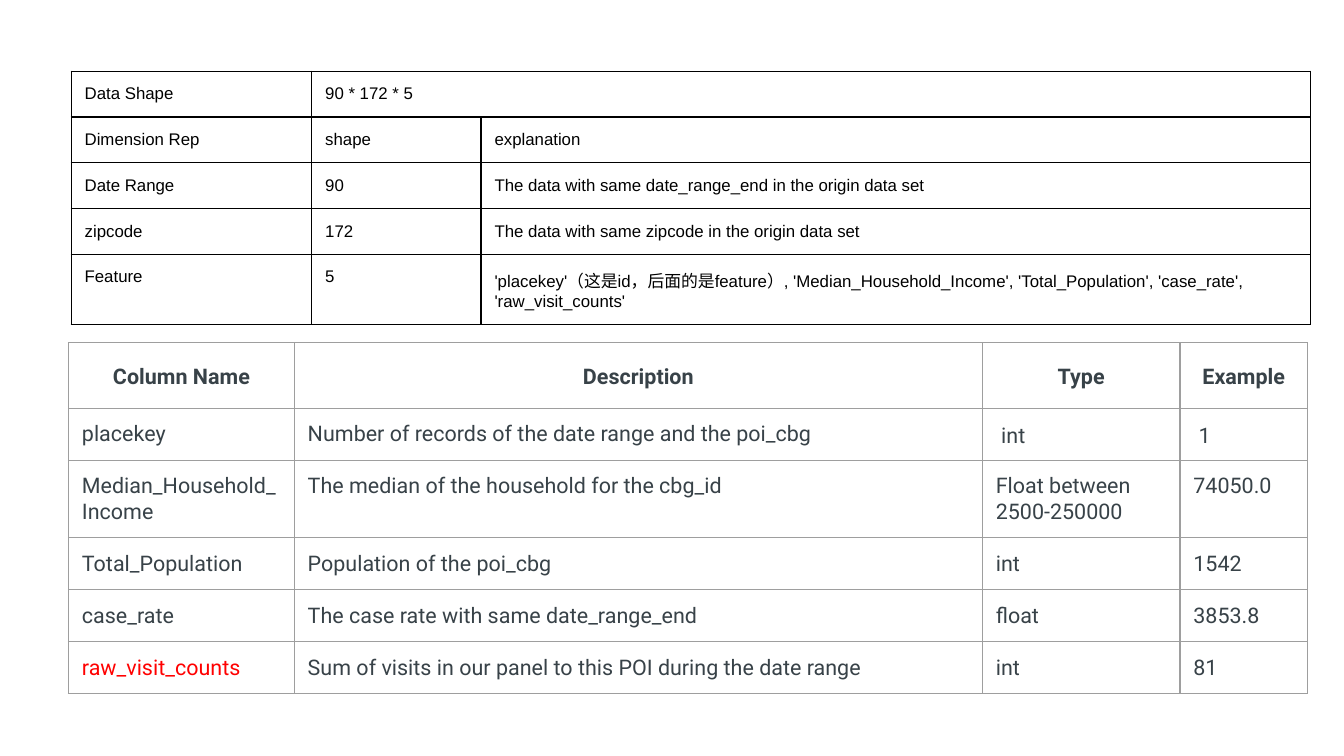
from lxml.etree import SubElement
from pptx import Presentation
from pptx.dml.color import RGBColor
from pptx.enum.text import MSO_ANCHOR, PP_ALIGN
from pptx.oxml.ns import qn
from pptx.util import Inches, Pt

COLORS = {"black": "000000", "slate": "384248", "red": "FF0000", "gray": "9E9E9E"}
SLIDE_WIDTH = 10
SLIDE_SIZE = (SLIDE_WIDTH, SLIDE_WIDTH * 9 / 16)

SHAPE_TABLE = {
    "position": (0.53, 0.53),
    "columns": (1.79, 1.26, 6.17),
    "rows": (0.34, 0.34, 0.34, 0.34, 0.52),
    "border": "black",
    "cells": [
        ("Data Shape", "90 * 172 * 5", ""),
        ("Dimension Rep", "shape", "explanation"),
        ("Date Range", "90", "The data with same date_range_end in the origin data set"),
        ("zipcode", "172", "The data with same zipcode in the origin data set"),
        ("Feature", "5", "'placekey'（这是id，后面的是feature）, 'Median_Household_Income', "
                         "'Total_Population', 'case_rate', 'raw_visit_counts'"),
    ],
}
COLUMN_TABLE = {
    "position": (0.51, 2.55),
    "columns": (1.68, 5.12, 1.47, 0.95),
    "rows": (0.49, 0.38, 0.57, 0.38, 0.38, 0.38),
    "border": "gray",
    "cells": [
        ("Column Name", "Description", "Type", "Example"),
        ("placekey", "Number of records of the date range and the poi_cbg", "int", "1"),
        ("Median_Household_Income", "The median of the household for the cbg_id",
         "Float between 2500-250000", "74050.0"),
        ("Total_Population", "Population of the poi_cbg", "int", "1542"),
        ("case_rate", "The case rate with same date_range_end", "float", "3853.8"),
        ("raw_visit_counts", "Sum of visits in our panel to this POI during the date range",
         "int", "81"),
    ],
}


def write_text(cell, text, font="Arial", size=9, color="black", bold=False,
               align=PP_ALIGN.LEFT, middle=False):
    horizontal, vertical = (0.14, 0.06) if middle else (0.1, 0.1)
    cell.margin_left = cell.margin_right = Inches(horizontal)
    cell.margin_top = cell.margin_bottom = Inches(vertical)
    cell.vertical_anchor = MSO_ANCHOR.MIDDLE if middle else MSO_ANCHOR.TOP
    paragraph = cell.text_frame.paragraphs[0]
    paragraph.alignment = align
    if middle:
        paragraph.line_spacing = 1.15
    run = paragraph.add_run()
    run.text = text
    run.font.name = font
    run.font.size = Pt(size)
    run.font.bold = bold
    run.font.color.rgb = RGBColor.from_string(COLORS[color])


def draw_borders(cell, color):
    properties = cell._tc.get_or_add_tcPr()
    for side in ("a:lnL", "a:lnR", "a:lnT", "a:lnB"):
        line = SubElement(properties, qn(side), w=str(Pt(0.75)))
        fill = SubElement(line, qn("a:solidFill"))
        SubElement(fill, qn("a:srgbClr"), val=COLORS[color])
    cell.fill.background()


def add_grid(slide, content):
    columns, rows = content["columns"], content["rows"]
    left, top, width, height = map(Inches, (*content["position"], sum(columns), sum(rows)))
    table = slide.shapes.add_table(len(rows), len(columns), left, top, width, height).table
    table.first_row = table.horz_banding = False
    for column, share in zip(table.columns, columns):
        column.width = Inches(share)
    for row, share in zip(table.rows, rows):
        row.height = Inches(share)
    for cell in table.iter_cells():
        draw_borders(cell, content["border"])
    return table


def column_format(row, column):
    header = row == 0
    return {
        "font": "Roboto",
        "size": 11.5,
        "color": "red" if (row, column) == (5, 0) else "slate",
        "bold": header,
        "align": PP_ALIGN.CENTER if header else PP_ALIGN.LEFT,
        "middle": header or (row == 1 and column >= 2),
    }


def fill_grid(table, content, cell_format):
    for row, texts in enumerate(content["cells"]):
        for column, text in enumerate(texts):
            if text:
                write_text(table.cell(row, column), text, **cell_format(row, column))


def main():
    presentation = Presentation()
    presentation.slide_width, presentation.slide_height = map(Inches, SLIDE_SIZE)
    slide = presentation.slides.add_slide(presentation.slide_layouts[6])
    shape_table = add_grid(slide, SHAPE_TABLE)
    shape_table.cell(0, 1).merge(shape_table.cell(0, 2))
    fill_grid(shape_table, SHAPE_TABLE, lambda row, column: {})
    fill_grid(add_grid(slide, COLUMN_TABLE), COLUMN_TABLE, column_format)
    presentation.save("out.pptx")


if __name__ == "__main__":
    main()
